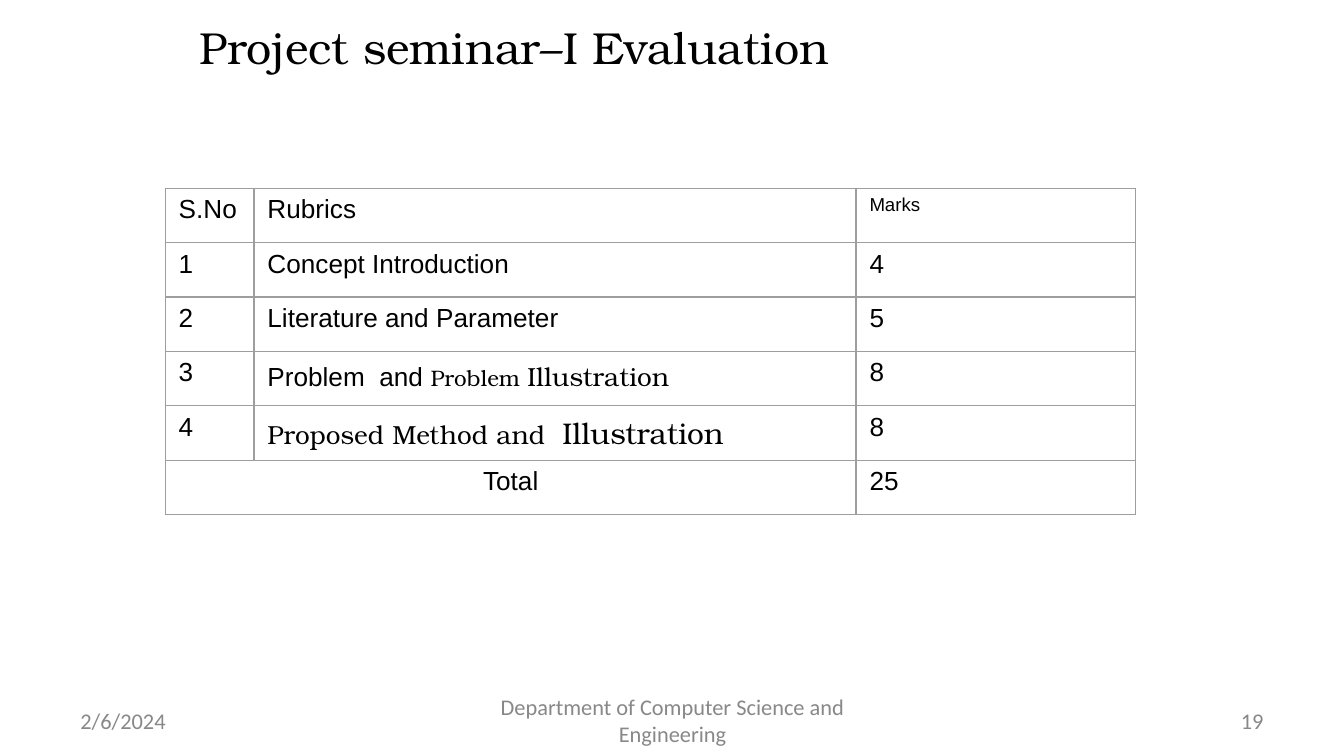
from pptx import Presentation
from pptx.dml.color import RGBColor
from pptx.enum.text import MSO_ANCHOR as Anchor, PP_ALIGN as Align
from pptx.oxml import parse_xml
from pptx.oxml.ns import nsdecls
from pptx.util import Inches, Pt

COLORS = {"text": "000000", "footer": "888888", "border": "9E9E9E"}
SERIF = "TeX Gyre Bonum"
SANS = "Arial"
FOOTER_FONT = "Calibri"

COLUMN_WIDTHS = [0.66, 4.48, 2.08]
TABLE_HEIGHT = 2.43
RUBRICS = [
    ["S.No", "Rubrics", [("Marks", SANS, 10)]],
    ["1", "Concept Introduction", "4"],
    ["2", "Literature and Parameter", "5"],
    ["3", [("Problem  and ", SANS, 14), ("Problem ", SERIF, 12),
           ("Illustration", SERIF, 14)], "8"],
    ["4", [("Proposed Method and  ", SERIF, 14), ("Illustration", SERIF, 16)], "8"],
    ["Total", "", "25"],
]
FOOTERS = [
    ("2/6/2024", 0.5, 2.33, Align.LEFT),
    ("Department of Computer Science and Engineering", 3.42, 3.17, Align.CENTER),
    ("19", 7.17, 2.33, Align.RIGHT),
]


class SlideBuilder:
    def __init__(self, deck):
        self.slide = deck.slides.add_slide(deck.slide_layouts[5])

    def style(self, span, font, size, color="text"):
        span.font.name = font
        span.font.size = Pt(size)
        span.font.color.rgb = RGBColor.from_string(COLORS[color])

    def title(self, text, left, top, width, height):
        box = self.slide.shapes.title
        box.left, box.top = Inches(left), Inches(top)
        box.width, box.height = Inches(width), Inches(height)
        frame = box.text_frame
        frame.text = text
        frame.vertical_anchor = Anchor.MIDDLE
        para = frame.paragraphs[0]
        para.alignment = Align.CENTER
        self.style(para.runs[0], SERIF, 24)

    def footer(self, text, left, width, alignment):
        box = self.slide.shapes.add_textbox(
            Inches(left), Inches(5.21), Inches(width), Inches(0.3))
        frame = box.text_frame
        frame.word_wrap = True
        frame.vertical_anchor = Anchor.MIDDLE
        frame.text = text
        para = frame.paragraphs[0]
        para.alignment = alignment
        self.style(para.runs[0], FOOTER_FONT, 12, "footer")

    def cell(self, cell, content):
        spans = [(content, SANS, 14)] if isinstance(content, str) else content
        para = cell.text_frame.paragraphs[0]
        for text, font, size in spans:
            if text:
                span = para.add_run()
                span.text = text
                self.style(span, font, size)
        properties = cell._tc.get_or_add_tcPr()
        for side in ("lnL", "lnR", "lnT", "lnB"):
            properties.append(parse_xml(
                f'<a:{side} {nsdecls("a")} w="{Pt(0.75)}"><a:solidFill>'
                f'<a:srgbClr val="{COLORS["border"]}"/></a:solidFill></a:{side}>'))
        cell.fill.background()

    def table(self, rows, left, top):
        table = self.slide.shapes.add_table(
            len(rows), len(COLUMN_WIDTHS), Inches(left), Inches(top),
            Inches(sum(COLUMN_WIDTHS)), Inches(TABLE_HEIGHT)).table
        table.first_row = False
        table.horz_banding = False
        for column, width in zip(table.columns, COLUMN_WIDTHS):
            column.width = Inches(width)
        for r, contents in enumerate(rows):
            for c, content in enumerate(contents):
                self.cell(table.cell(r, c), content)
        last = len(rows) - 1
        total = table.cell(last, 0)
        total.merge(table.cell(last, 1))
        total.text_frame.paragraphs[0].alignment = Align.CENTER


def main():
    deck = Presentation()
    deck.slide_width = Inches(10)
    deck.slide_height = deck.slide_width * 9 // 16
    builder = SlideBuilder(deck)
    builder.title("Project seminar–I Evaluation", 0.48, 0, 6.69, 0.69)
    builder.table(RUBRICS, 1.23, 1.4)
    for footer in FOOTERS:
        builder.footer(*footer)
    deck.save("out.pptx")


if __name__ == "__main__":
    main()
